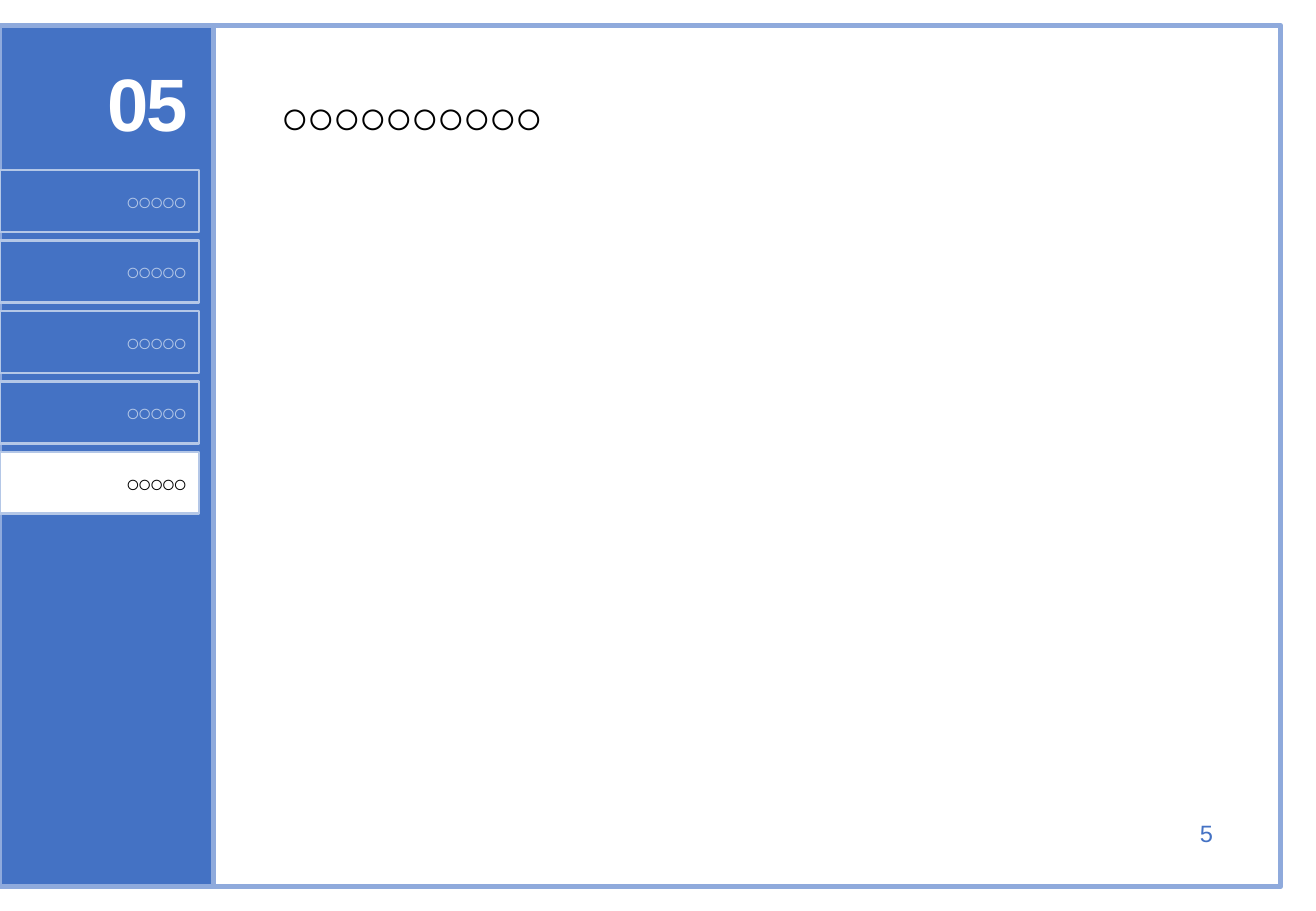
"""Build a slide with a numbered side menu, a title and a page number."""
from dataclasses import dataclass
from typing import NamedTuple

from lxml.etree import SubElement
from pptx import Presentation
from pptx.dml.color import RGBColor
from pptx.enum.shapes import MSO_SHAPE as Kind
from pptx.enum.text import MSO_ANCHOR as Anchor
from pptx.enum.text import MSO_AUTO_SIZE as Auto
from pptx.enum.text import PP_ALIGN as Align
from pptx.oxml.ns import qn
from pptx.shapes.base import BaseShape
from pptx.slide import Slide
from pptx.util import Pt

SCALE = 9144


@dataclass(frozen=True)
class Theme:
    """Hold the colours, font and type sizes of the slide."""
    blue: str = "4472C4"
    edge: str = "8FAADC"
    pale: str = "B4C7E7"
    white: str = "FFFFFF"
    black: str = "000000"
    font: str = "Arial"
    small: int = 14
    large: int = 28
    huge: int = 44
    track: int = -150


class Box(NamedTuple):
    """Place a shape, in px."""
    left: int
    top: int
    width: int
    height: int


class Panel(NamedTuple):
    """Describe a bordered rectangle."""
    box: Box
    fill: str | None
    line: str
    weight: float


class Label(NamedTuple):
    """Describe a line of text."""
    box: Box
    text: str
    size: int
    color: str
    bold: bool = False
    align: Align = Align.RIGHT


class Tab(NamedTuple):
    """Describe an entry of the side menu."""
    text: str
    active: bool = False


THEME = Theme()
MENU = [Tab("○○○○○")] * 4 + [Tab("○○○○○", True)]
FIRST, STEP = 140, 58
PANELS = [
    Panel(Box(30, 21, 1024, 709), None, THEME.edge, 3),
    Panel(Box(0, 21, 176, 709), THEME.blue, THEME.edge, 3),
]
TITLE = Label(Box(221, 67, 523, 57), "○○○○○○○○○○", THEME.large,
              THEME.black, True, Align.LEFT)
LABELS = [
    Label(Box(949, 669, 59, 34), "5", THEME.small, THEME.blue),
    Label(Box(42, 42, 122, 84), "05", THEME.huge, THEME.white, True),
]


def apply(item: object, values: dict[str, object]) -> None:
    """Set each named attribute on the item."""
    for name, value in values.items():
        setattr(item, name, value)


def scaled(box: Box) -> list[int]:
    """Turn px into EMU."""
    return [side * SCALE for side in box]


def panel(slide: Slide, data: Panel) -> None:
    """Draw a bordered rectangle."""
    shape = slide.shapes.add_shape(Kind.RECTANGLE, *scaled(data.box))
    shape.shadow.inherit = False
    if data.fill:
        shape.fill.solid()
        shape.fill.fore_color.rgb = RGBColor.from_string(data.fill)
    else:
        shape.fill.background()
    shape.line.color.rgb = RGBColor.from_string(data.line)
    shape.line.width = Pt(data.weight)


def write(shape: BaseShape, data: Label) -> None:
    """Place and format the text of a shape."""
    apply(shape, dict(zip(Box._fields, scaled(data.box))))
    frame = shape.text_frame
    apply(frame, {"word_wrap": True, "vertical_anchor": Anchor.TOP,
                  "auto_size": Auto.SHAPE_TO_FIT_TEXT})
    para = frame.paragraphs[0]
    para.alignment = data.align
    run = para.add_run()
    run.text = data.text
    apply(run.font, {"name": THEME.font, "size": Pt(data.size),
                     "bold": data.bold})
    run.font.color.rgb = RGBColor.from_string(data.color)
    props = run._r.get_or_add_rPr()
    props.set("spc", str(THEME.track))
    SubElement(props, qn("a:ea"), typeface=THEME.font)


def label(slide: Slide, data: Label) -> None:
    """Add a text box."""
    write(slide.shapes.add_textbox(*scaled(data.box)), data)


def menu(slide: Slide, tabs: list[Tab]) -> None:
    """Stack the tabs of the side menu at an equal step."""
    for row, tab in enumerate(tabs):
        top = FIRST + row * STEP
        fill = THEME.white if tab.active else THEME.blue
        color = THEME.black if tab.active else THEME.pale
        panel(slide, Panel(Box(0, top, 164, 51), fill, THEME.pale, 1.5))
        label(slide, Label(Box(42, top + 9, 122, 34), tab.text,
                           THEME.small, color, tab.active))


def main() -> None:
    """Build and save the slide."""
    deck = Presentation()
    apply(deck, {"slide_width": 1083 * SCALE, "slide_height": 750 * SCALE})
    slide = deck.slides.add_slide(deck.slide_layouts[5])
    for data in PANELS:
        panel(slide, data)
    write(slide.shapes.title, TITLE)
    for data in LABELS:
        label(slide, data)
    menu(slide, MENU)
    deck.save("out.pptx")


if __name__ == "__main__":
    main()
